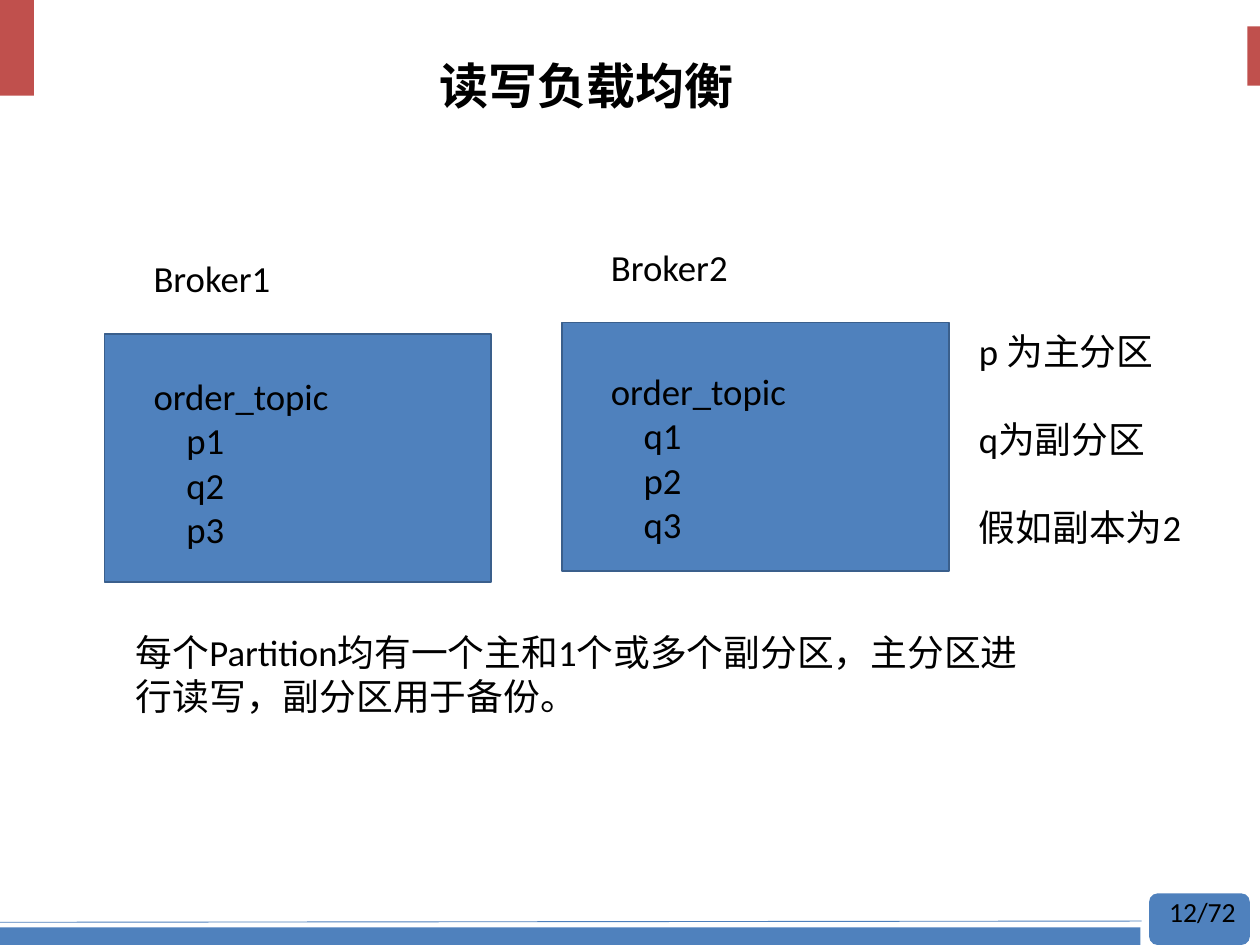
import dataclasses

import lxml.etree
import pptx
import pptx.dml.color
import pptx.enum.shapes
import pptx.enum.text
import pptx.oxml.ns
import pptx.util

Inches = pptx.util.Inches
Pt = pptx.util.Pt
RGBColor = pptx.dml.color.RGBColor
Shapes = pptx.enum.shapes.MSO_SHAPE
Text = pptx.enum.text
qn = pptx.oxml.ns.qn


@dataclasses.dataclass(frozen=True)
class Theme:
    accent: str = "C0504D"
    blue: str = "4F81BD"
    outline: str = "3A5F8C"
    ink: str = "000000"
    latin: str = "Calibri"
    chinese: str = "Noto Sans CJK SC"
    title_size: float = 28
    body_size: float = 21
    page_size: float = 15.8


THEME = Theme()


def set_values(target, values):
    for name, value in values.items():
        setattr(target, name, value)


def style_run(run, size, latin=THEME.latin, bold=False):
    set_values(run.font, {"size": Pt(size), "name": latin, "bold": bold})
    run.font.color.rgb = RGBColor.from_string(THEME.ink)
    east_asian = lxml.etree.Element(qn("a:ea"), typeface=THEME.chinese)
    run.font._element.find(qn("a:latin")).addnext(east_asian)


def add_block(slide, box, fill, outline=None, kind=Shapes.RECTANGLE):
    shape = slide.shapes.add_shape(kind, *map(Inches, box))
    shape.shadow.inherit = False
    shape.fill.solid()
    shape.fill.fore_color.rgb = RGBColor.from_string(fill)
    if outline:
        shape.line.color.rgb = RGBColor.from_string(outline)
        shape.line.width = Pt(1)
    else:
        shape.line.fill.background()


def add_text(slide, box, lines, size=THEME.body_size, gap=0, indent=0):
    frame = slide.shapes.add_textbox(*map(Inches, box)).text_frame
    set_values(frame, {
        "word_wrap": True,
        "auto_size": Text.MSO_AUTO_SIZE.SHAPE_TO_FIT_TEXT,
    })
    for index, line in enumerate(lines):
        paragraph = frame.paragraphs[0] if index == 0 else frame.add_paragraph()
        run = paragraph.add_run()
        run.text = line
        style_run(run, size)
        if index:
            paragraph.space_before = Pt(gap)
            paragraph._p.get_or_add_pPr().set("marL", str(Inches(indent)))


def add_title(slide, box, text):
    title = slide.shapes.title
    left, top, width, height = map(Inches, box)
    set_values(title, {"left": left, "top": top, "width": width, "height": height})
    set_values(title.text_frame, {
        "vertical_anchor": Text.MSO_ANCHOR.MIDDLE,
        "word_wrap": True,
    })
    paragraph = title.text_frame.paragraphs[0]
    set_values(paragraph, {"alignment": Text.PP_ALIGN.CENTER, "line_spacing": 0.9})
    run = paragraph.add_run()
    run.text = text
    style_run(run, THEME.title_size, THEME.chinese, True)


def add_corner_marks(slide, box):
    left, top, width, _ = box
    add_block(slide, (left, top, 0.27, 0.76), THEME.accent)
    add_block(slide, (left + width - 0.1, top + 0.21, 0.1, 0.47), THEME.accent)


def add_footer(slide, box, page):
    left, top, width, height = box
    bottom = top + height
    add_block(slide, (left, bottom - 0.14, width - 0.95, 0.14), THEME.blue)
    tab_left = left + width - 0.88
    add_block(slide, (tab_left, top, 0.8, height), THEME.blue,
              kind=Shapes.FLOWCHART_ALTERNATE_PROCESS)
    rule = slide.shapes.add_connector(
        pptx.enum.shapes.MSO_CONNECTOR.STRAIGHT,
        Inches(left), Inches(bottom - 0.18),
        Inches(left + width - 0.94), Inches(bottom - 0.19))
    rule.line.color.rgb = RGBColor.from_string(THEME.blue)
    rule.line.width = Pt(0.5)
    lxml.etree.SubElement(rule._element.spPr, qn("a:effectLst"))
    add_text(slide, (tab_left + 0.06, top - 0.04, 0.77, 0.37), [page], THEME.page_size)


def add_broker(slide, box, name, partitions, list_drop):
    left, top, _, _ = box
    add_block(slide, box, THEME.blue, THEME.outline)
    add_text(slide, (left + 0.29, top - 0.67, 2.39, 0.45), [name])
    add_text(slide, (left + 0.29, top + list_drop, 2.38, 1.51),
             ["order_topic", *partitions], indent=0.26)


def build_slide(presentation):
    slide = presentation.slides.add_slide(presentation.slide_layouts[5])
    add_corner_marks(slide, (0, 0, 10, 0.76))
    add_footer(slide, (0, 7.09, 10, 0.41), "12/72")
    add_title(slide, (1.28, 0.29, 6.75, 0.82), "读写负载均衡")
    add_broker(slide, (0.83, 2.65, 3.07, 1.97), "Broker1", ["p1", "q2", "p3"], 0.27)
    add_broker(slide, (4.46, 2.56, 3.07, 1.97), "Broker2", ["q1", "p2", "q3"], 0.32)
    add_text(slide, (0.98, 4.95, 7.25, 0.81),
             ["每个Partition均有一个主和1个或多个副分区，主分区进行读写，副分区用于备份。"])
    add_text(slide, (7.67, 2.56, 2.33, 1.87),
             ["p 为主分区", "q为副分区", "假如副本为2"], gap=25)


def main():
    presentation = pptx.Presentation()
    set_values(presentation, {"slide_width": Inches(10), "slide_height": Inches(7.5)})
    build_slide(presentation)
    presentation.save("out.pptx")


if __name__ == "__main__":
    main()
